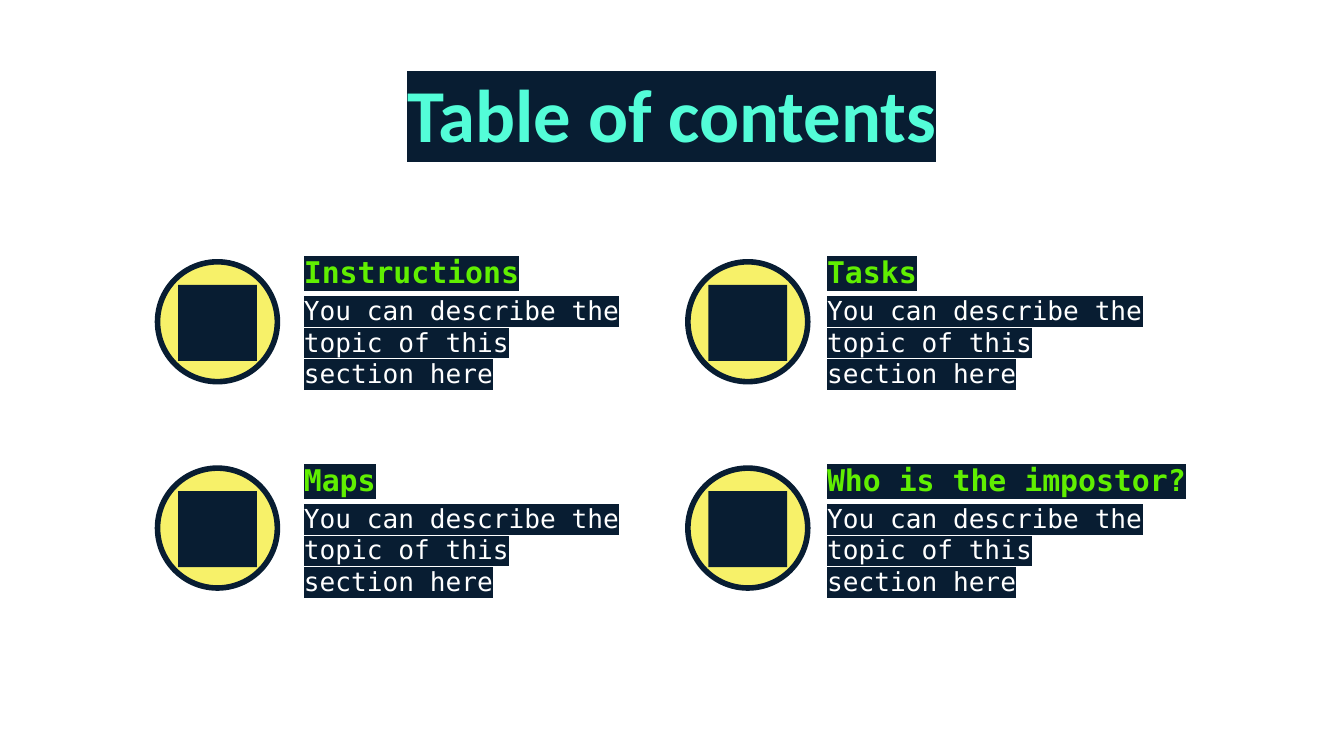
"""Build a table of contents slide with four sections in a two-by-two grid."""
from lxml import etree
from pptx import Presentation
from pptx import util as u
from pptx.dml.color import RGBColor
from pptx.enum import shapes, text
from pptx.oxml.ns import qn

Pt = u.Pt
NAVY, YELLOW, MINT, GREEN, WHITE = "081D32", "F7F169", "53FDD8", "60EF01", "FFFFFF"
MONO = "DejaVu Sans Mono"
LEFT, CENTER = text.PP_ALIGN.LEFT, text.PP_ALIGN.CENTER


def rgb(value):
    return RGBColor.from_string(value)


def write(holder, wording, color, font, paragraph, right=7.2):
    frame = holder.text_frame
    frame_format = {
        "word_wrap": True, "auto_size": text.MSO_AUTO_SIZE.NONE,
        "vertical_anchor": text.MSO_ANCHOR.TOP,
        "margin_left": Pt(7.2), "margin_top": Pt(7.2),
        "margin_right": Pt(right), "margin_bottom": Pt(7.2),
    }
    line = frame.paragraphs[0]
    run = line.add_run()
    run.text = wording
    for target, values in ((frame, frame_format), (line, paragraph), (run.font, font)):
        for key, value in values.items():
            setattr(target, key, value)
    run.font.color.rgb = rgb(color)
    highlight = etree.Element(qn("a:highlight"))
    etree.SubElement(highlight, qn("a:srgbClr"), val=NAVY)
    run.font.fill._xPr.find(qn("a:solidFill")).addnext(highlight)


deck = Presentation()
deck.slide_width, deck.slide_height = Pt(720), Pt(405)
slide = deck.slides.add_slide(deck.slide_layouts[5])

title = slide.shapes.title
title.left, title.top, title.width, title.height = Pt(56.7), Pt(29), Pt(606.6), Pt(45)
write(title, "Table of contents", MINT,
      {"name": "Calibri", "size": Pt(40), "bold": True}, {"alignment": CENTER})

heading_font = {"name": MONO, "size": Pt(16), "bold": True}
summary_font = {"name": MONO, "size": Pt(14), "bold": False}
heading_paragraph = {"alignment": LEFT, "line_spacing": 0.8, "space_after": Pt(16)}
summary_paragraph = {"alignment": LEFT, "space_after": Pt(16)}
summary = "You can describe the topic of this section here"

columns = [(84.4, 155.7), (368.5, 436)]
rows = [(140.3, 132.6), (250.8, 244)]
sections = ["Instructions", "Tasks", "Maps", "Who is the impostor?"]

for index, section in enumerate(sections):
    badge_left, text_left = columns[index % 2]
    badge_top, heading_top = rows[index // 2]

    badge = slide.shapes.add_shape(
        shapes.MSO_SHAPE.OVAL, Pt(badge_left), Pt(badge_top), Pt(64.2), Pt(64.2))
    badge.line.color.rgb = rgb(NAVY)
    badge.line.width = Pt(3)
    emblem = slide.shapes.add_shape(
        shapes.MSO_SHAPE.RECTANGLE, Pt(badge_left + 11), Pt(badge_top + 12.4), Pt(42.2), Pt(40.7))
    emblem.line.fill.background()
    for part, color in ((badge, YELLOW), (emblem, NAVY)):
        part.shadow.inherit = False
        part.fill.solid()
        part.fill.fore_color.rgb = rgb(color)

    heading = slide.shapes.add_textbox(Pt(text_left), Pt(heading_top), Pt(209.5), Pt(31))
    write(heading, section, GREEN, heading_font, heading_paragraph)

    description = slide.shapes.add_textbox(Pt(text_left), Pt(heading_top + 18), Pt(209.5), Pt(60.5))
    write(description, summary, WHITE, summary_font, summary_paragraph, right=28.1)

deck.save("out.pptx")
